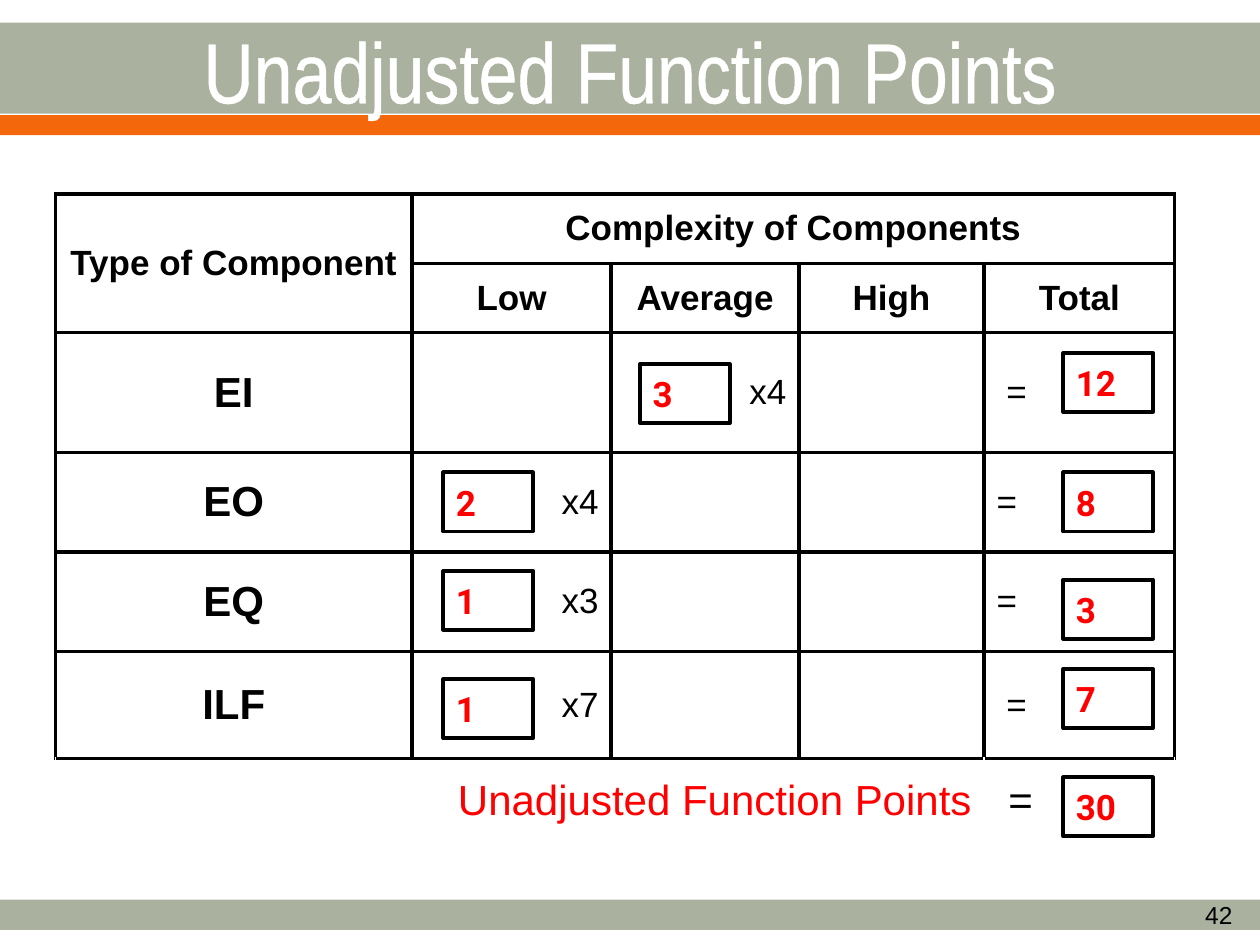
from enum import Enum

from lxml.etree import SubElement
from pptx import Presentation
from pptx.dml.color import RGBColor
from pptx.enum.shapes import MSO_SHAPE
from pptx.enum.text import MSO_ANCHOR, PP_ALIGN
from pptx.oxml import parse_xml
from pptx.oxml.ns import nsdecls, qn
from pptx.util import Pt


class Theme(Enum):
    SAGE = RGBColor.from_string("ABB19F")
    ORANGE = RGBColor.from_string("F4680B")
    BLACK = RGBColor.from_string("000000")
    WHITE = RGBColor.from_string("FFFFFF")
    RED = RGBColor.from_string("FF0000")
    TITLE_SIZE = Pt(48.6)
    LARGE_SIZE = Pt(24)
    BODY_SIZE = Pt(20)
    NUMBER_SIZE = Pt(14)
    LINE_WIDTH = Pt(2.25)


def write(frame, text, size, color=Theme.BLACK, align=PP_ALIGN.LEFT,
          bold=False, font="Arial"):
    frame.word_wrap = True
    paragraph = frame.paragraphs[0]
    paragraph.text = text
    paragraph.alignment = align
    paragraph.font.name = font
    paragraph.font.size = size.value
    paragraph.font.bold = bold
    paragraph.font.color.rgb = color.value
    return paragraph


def add_border(cell, side):
    properties = cell._tc.get_or_add_tcPr()
    properties.append(parse_xml(
        f'<a:{side} {nsdecls("a")} w="{Theme.LINE_WIDTH.value}"><a:solidFill>'
        f'<a:srgbClr val="{Theme.BLACK.value}"/></a:solidFill></a:{side}>'))


presentation = Presentation()
presentation.slide_width, presentation.slide_height = Pt(720), Pt(540)
slide = presentation.slides.add_slide(presentation.slide_layouts[6])

# Header and footer bands
for top, height, color in [(514.1, 17.3, Theme.SAGE), (13, 52, Theme.SAGE),
                           (65.8, 11.5, Theme.ORANGE)]:
    band = slide.shapes.add_shape(MSO_SHAPE.RECTANGLE, 0, Pt(top), Pt(720), Pt(height))
    band.shadow.inherit = False
    band.fill.solid()
    band.fill.fore_color.rgb = color.value
    band.line.fill.background()

# Slide number
number = slide.shapes.add_textbox(Pt(586.8), Pt(508.3), Pt(124.6), Pt(28.8))
number.text_frame.vertical_anchor = MSO_ANCHOR.MIDDLE
write(number.text_frame, "42", Theme.NUMBER_SIZE, align=PP_ALIGN.RIGHT)

# Title, thickened by a white outline
title = slide.shapes.add_textbox(Pt(36), Pt(3.6), Pt(648), Pt(72))
title.text_frame.vertical_anchor = MSO_ANCHOR.MIDDLE
paragraph = write(title.text_frame, "Unadjusted Function Points", Theme.TITLE_SIZE,
                  Theme.WHITE, PP_ALIGN.CENTER, font="Arial Narrow")
run = paragraph.runs[0]
run.font.color.rgb = Theme.WHITE.value
outline = SubElement(run.font._element, qn("a:ln"), w=str(Pt(1.1)))
outline_fill = SubElement(outline, qn("a:solidFill"))
SubElement(outline_fill, qn("a:srgbClr"), val=str(Theme.WHITE.value))
run.font._element.insert(0, outline)

# Table grid
column_widths = [203.8, 113.8, 107.3, 105.8, 108.9]
row_heights = [39.6, 39.6, 68.4, 56.9, 56.9, 61.2, 48.2]
last_row = len(row_heights) - 1
table = slide.shapes.add_table(
    len(row_heights), len(column_widths), Pt(31.7), Pt(110.9),
    Pt(sum(column_widths)), Pt(sum(row_heights))).table
table.first_row = table.horz_banding = False
for column, width in zip(table.columns, column_widths):
    column.width = Pt(width)
for row_index, (row, height) in enumerate(zip(table.rows, row_heights)):
    row.height = Pt(height)
    for cell in row.cells:
        sides = ["lnT"] if row_index == last_row else ["lnL", "lnR", "lnT", "lnB"]
        for side in sides:
            add_border(cell, side)
        cell.fill.background()
        cell.vertical_anchor = MSO_ANCHOR.MIDDLE
table.cell(0, 0).merge(table.cell(1, 0))
table.cell(0, 1).merge(table.cell(0, 4))
table.cell(last_row, 0).merge(table.cell(last_row, 3))

# Table headings
headings = [(0, 0, "Type of Component"), (0, 1, "Complexity of Components"),
            (1, 1, "Low"), (1, 2, "Average"), (1, 3, "High"), (1, 4, "Total")]
for row_index, column_index, text in headings:
    write(table.cell(row_index, column_index).text_frame, text, Theme.BODY_SIZE,
          align=PP_ALIGN.CENTER, bold=True)

# Component rows: name, weight column, weight, equals sign
components = [("EI", 2, "x4", " ="), ("EO", 1, "x4", "="),
              ("EQ", 1, "x3", "="), ("ILF", 1, "x7", " =")]
for row_index, (name, weight_column, weight, equals) in enumerate(components, start=2):
    write(table.cell(row_index, 0).text_frame, name, Theme.LARGE_SIZE,
          align=PP_ALIGN.CENTER, bold=True)
    write(table.cell(row_index, weight_column).text_frame, weight, Theme.BODY_SIZE,
          align=PP_ALIGN.RIGHT)
    write(table.cell(row_index, 4).text_frame, equals, Theme.BODY_SIZE)

# Sum row
write(table.cell(last_row, 0).text_frame, "Unadjusted Function Points",
      Theme.LARGE_SIZE, Theme.RED, PP_ALIGN.RIGHT)
write(table.cell(last_row, 4).text_frame, " =", Theme.LARGE_SIZE)

# Value boxes
low_left, average_left, total_left = 253.4, 365.8, 607.7
values = [("3", average_left, 208.1), ("12", total_left, 201.6),
          ("1", low_left, 388.1), ("7", total_left, 382.3),
          ("30", total_left, 444.2), ("1", low_left, 326.2),
          ("3", total_left, 331.2), ("2", low_left, 270), ("8", total_left, 270)]
for value, left, top in values:
    box = slide.shapes.add_shape(MSO_SHAPE.RECTANGLE, Pt(left), Pt(top), Pt(51.1), Pt(33.8))
    box.shadow.inherit = False
    box.fill.background()
    box.line.color.rgb = Theme.BLACK.value
    box.line.width = Theme.LINE_WIDTH.value
    box.text_frame.vertical_anchor = MSO_ANCHOR.MIDDLE
    write(box.text_frame, value, Theme.BODY_SIZE, Theme.RED, bold=True, font="Roboto")

presentation.save("out.pptx")
